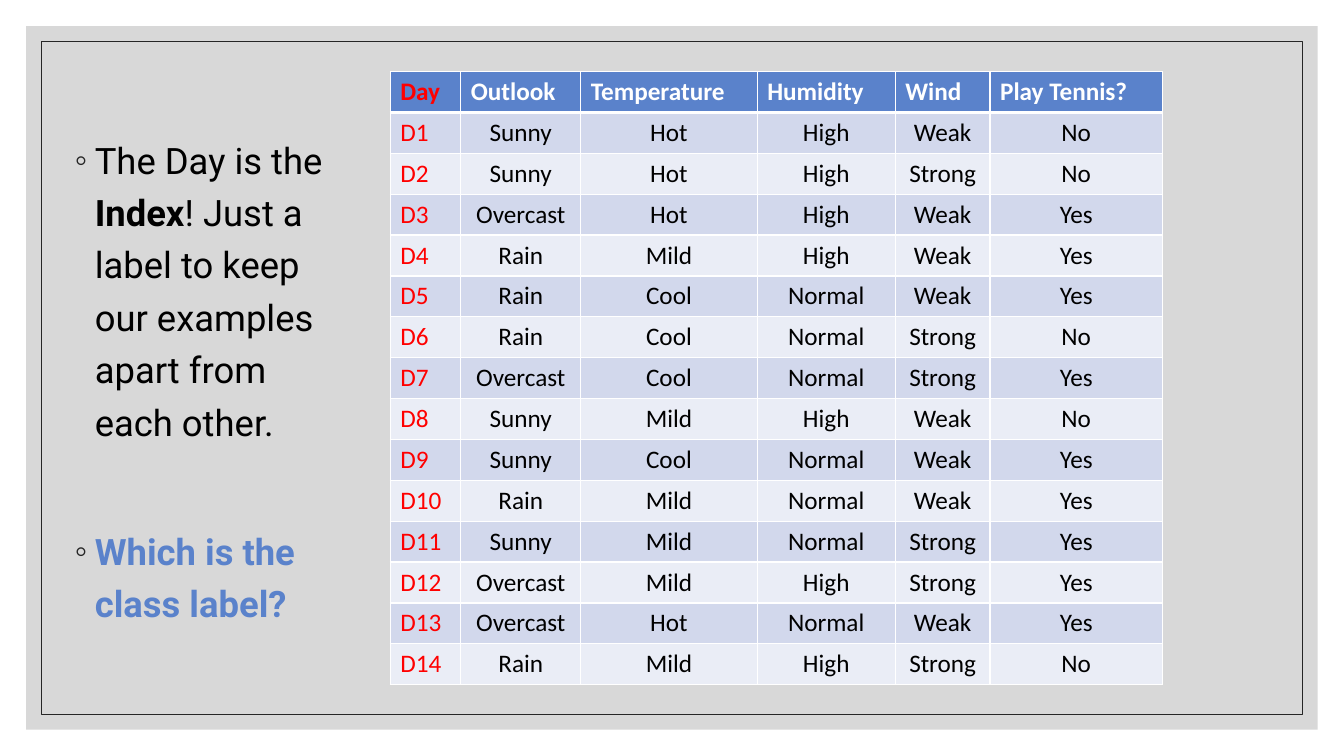
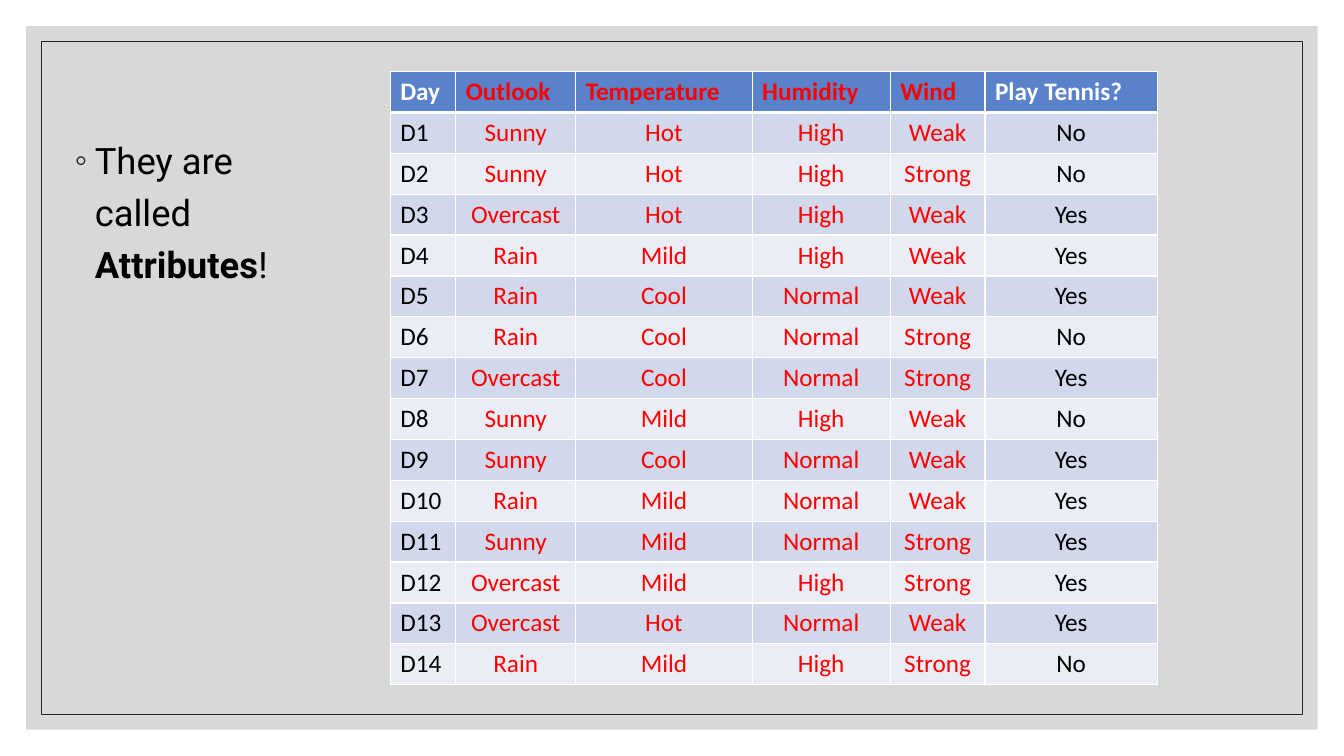
from dataclasses import dataclass

from lxml.etree import SubElement
from pptx import Presentation
from pptx.dml.color import RGBColor
from pptx.enum.shapes import MSO_SHAPE
from pptx.enum.text import MSO_AUTO_SIZE, PP_ALIGN
from pptx.oxml import parse_xml
from pptx.oxml.ns import nsdecls, qn
from pptx.util import Inches, Pt

SLIDE_WIDTH, SLIDE_HEIGHT = 13.33, 7.5
WHITE, BLACK, RED, BLUE = "FFFFFF", "000000", "FF0000", "5A82CB"
PANEL, INK = "BFBFBF", "262626"
BAND_COLORS = ("EAEDF6", "D2D8EC")
BODY_FONT, TABLE_FONT = "Roboto", "Calibri"

BODY_BOX = (0.64, 1.23, 2.7, 5.8)
TABLE_LEFT, TABLE_TOP, TABLE_HEIGHT = 3.87, 0.71, 6.08
COLUMN_WIDTHS = (1.19, 1.75, 1.37, 0.94, 1.71)

HEADER = ("Day", "Outlook", "Temperature", "Humidity", "Wind", "Play Tennis?")
EXAMPLES = """\
Sunny Hot High Weak No
Sunny Hot High Strong No
Overcast Hot High Weak Yes
Rain Mild High Weak Yes
Rain Cool Normal Weak Yes
Rain Cool Normal Strong No
Overcast Cool Normal Strong Yes
Sunny Mild High Weak No
Sunny Cool Normal Weak Yes
Rain Mild Normal Weak Yes
Sunny Mild Normal Strong Yes
Overcast Mild High Strong Yes
Overcast Hot Normal Weak Yes
Rain Mild High Strong No"""
ROWS = [HEADER] + [
    (f"D{day}", *line.split()) for day, line in enumerate(EXAMPLES.splitlines(), 1)
]


@dataclass(frozen=True)
class Span:
    text: str
    bold: bool = False
    color: str = BLACK


@dataclass(frozen=True)
class Bullet:
    spans: tuple[Span, ...]
    space_before: float = 0


@dataclass(frozen=True)
class Lesson:
    bullets: tuple[Bullet, ...]
    red_columns: frozenset[int]
    day_width: float


LESSONS = (
    Lesson(
        bullets=(
            Bullet((
                Span("The Day is the "),
                Span("Index", bold=True),
                Span("! Just a label to keep our examples apart from each other."),
            )),
            Bullet((Span("Which is the class label?", bold=True, color=BLUE),), 55),
        ),
        red_columns=frozenset({0}),
        day_width=0.7,
    ),
    Lesson(
        bullets=(
            Bullet((Span("They are called "), Span("Attributes", bold=True), Span("!"))),
        ),
        red_columns=frozenset(range(1, 5)),
        day_width=0.65,
    ),
)


def rgb(color: str) -> RGBColor:
    return RGBColor.from_string(color)


def style_run(run, font: str, size: float, color: str, bold: bool) -> None:
    run.font.name = font
    run.font.size = Pt(size)
    run.font.color.rgb = rgb(color)
    run.font.bold = bold


def add_frame_rectangle(slide, margin: float):
    shape = slide.shapes.add_shape(
        MSO_SHAPE.RECTANGLE, Inches(margin), Inches(margin),
        Inches(SLIDE_WIDTH - 2 * margin), Inches(SLIDE_HEIGHT - 2 * margin),
    )
    shape.shadow.inherit = False
    return shape


def dress_layout(layout, slide) -> None:
    """Draw the frame on a slide, then move it behind everything on the layout."""
    panel = add_frame_rectangle(slide, 0.26)
    panel.fill.solid()
    panel.fill.fore_color.rgb = rgb(PANEL)
    panel_color = panel.element.spPr.find(f"{qn('a:solidFill')}/{qn('a:srgbClr')}")
    SubElement(panel_color, qn("a:alpha"), val="60000")
    panel.line.fill.background()

    outline = add_frame_rectangle(slide, 0.41)
    outline.fill.background()
    outline.line.color.rgb = rgb(INK)
    outline.line.width = Pt(0.5)

    for order, shape in enumerate((panel, outline)):
        shape.element.nvSpPr.cNvPr.id = 100 + order
        layout.shapes.element.insert(2 + order, shape.element)

    body = next(p for p in layout.placeholders if p.placeholder_format.idx == 1)
    body.left, body.top, body.width, body.height = map(Inches, BODY_BOX)


def fill_body(body, bullets: tuple[Bullet, ...]) -> None:
    text_frame = body.text_frame
    text_frame.word_wrap = True
    text_frame.auto_size = MSO_AUTO_SIZE.NONE
    for index, bullet in enumerate(bullets):
        paragraph = text_frame.add_paragraph() if index else text_frame.paragraphs[0]
        properties = paragraph._p.get_or_add_pPr()
        properties.set("marL", str(Inches(0.2)))
        properties.set("indent", str(-Inches(0.2)))
        bullet_color = SubElement(properties, qn("a:buClr"))
        SubElement(bullet_color, qn("a:srgbClr"), val=INK)
        SubElement(properties, qn("a:buChar"), char="◦")
        paragraph.line_spacing = 1.2
        paragraph.space_before = Pt(bullet.space_before)
        for span in bullet.spans:
            run = paragraph.add_run()
            run.text = span.text
            style_run(run, BODY_FONT, 26, span.color, span.bold)


def set_borders(cell, top: float, bottom: float) -> None:
    properties = cell._tc.get_or_add_tcPr()
    widths = {"lnL": 1, "lnR": 1, "lnT": top, "lnB": bottom}
    for order, (side, width) in enumerate(widths.items()):
        properties.insert(order, parse_xml(
            f'<a:{side} {nsdecls("a")} w="{Pt(width)}"><a:solidFill>'
            f'<a:srgbClr val="{WHITE}"/></a:solidFill></a:{side}>'
        ))


def add_examples_table(slide, lesson: Lesson) -> None:
    widths = (lesson.day_width, *COLUMN_WIDTHS)
    table = slide.shapes.add_table(
        len(ROWS), len(HEADER), Inches(TABLE_LEFT), Inches(TABLE_TOP),
        Inches(sum(widths)), Inches(TABLE_HEIGHT),
    ).table
    table.horz_banding = False
    for column, width in zip(table.columns, widths):
        column.width = Inches(width)
    for row_index, values in enumerate(ROWS):
        is_header = row_index == 0
        for column_index, value in enumerate(values):
            cell = table.cell(row_index, column_index)
            cell.fill.solid()
            cell.fill.fore_color.rgb = rgb(BLUE if is_header else BAND_COLORS[row_index % 2])
            set_borders(cell, top=3 if row_index == 1 else 1, bottom=3 if is_header else 1)
            paragraph = cell.text_frame.paragraphs[0]
            paragraph.text = value
            centered = column_index > 0 and not is_header
            paragraph.alignment = PP_ALIGN.CENTER if centered else PP_ALIGN.LEFT
            plain_color = WHITE if is_header else BLACK
            color = RED if column_index in lesson.red_columns else plain_color
            style_run(paragraph.runs[0], TABLE_FONT, 18, color, is_header)


def main() -> None:
    presentation = Presentation()
    presentation.slide_width = Inches(SLIDE_WIDTH)
    presentation.slide_height = Inches(SLIDE_HEIGHT)
    layout = presentation.slide_layouts[1]
    for index, lesson in enumerate(LESSONS):
        slide = presentation.slides.add_slide(layout)
        if index == 0:
            dress_layout(layout, slide)
        title = slide.shapes.title.element
        title.getparent().remove(title)
        fill_body(slide.placeholders[1], lesson.bullets)
        add_examples_table(slide, lesson)
    presentation.save("out.pptx")


if __name__ == "__main__":
    main()
